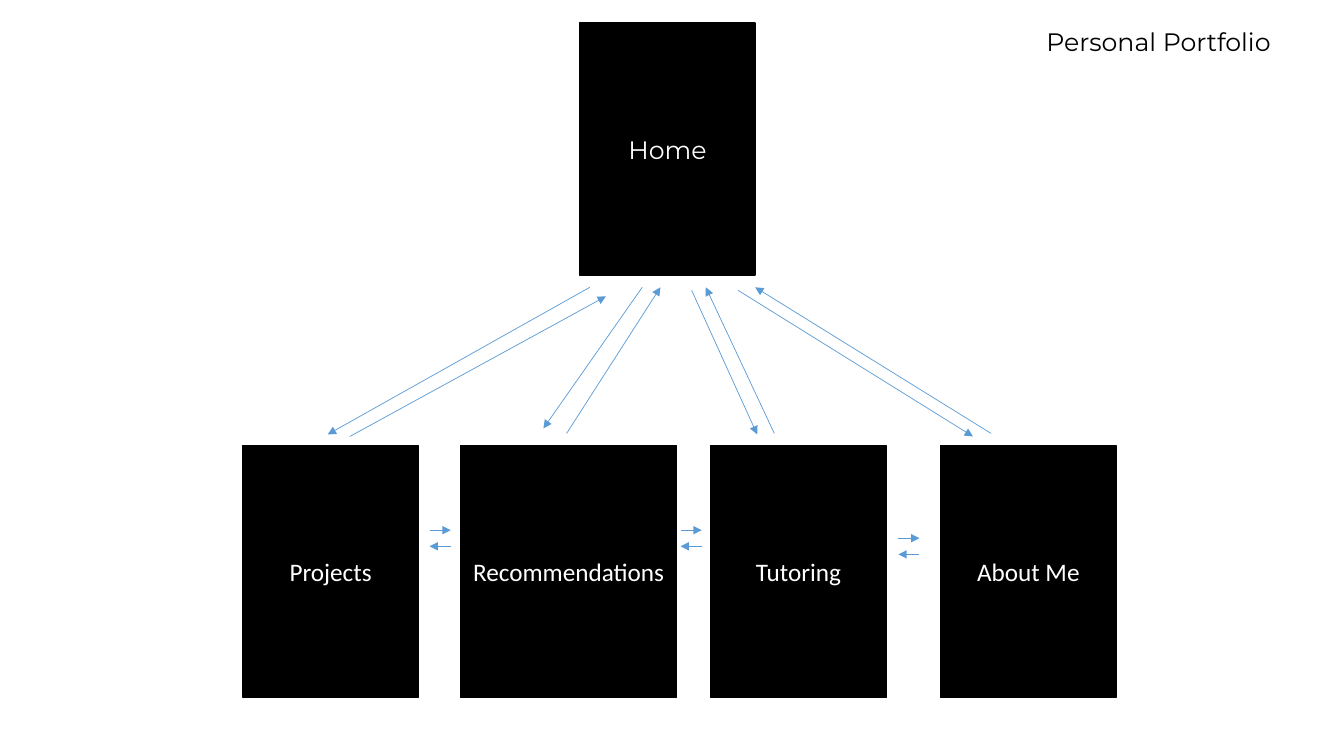
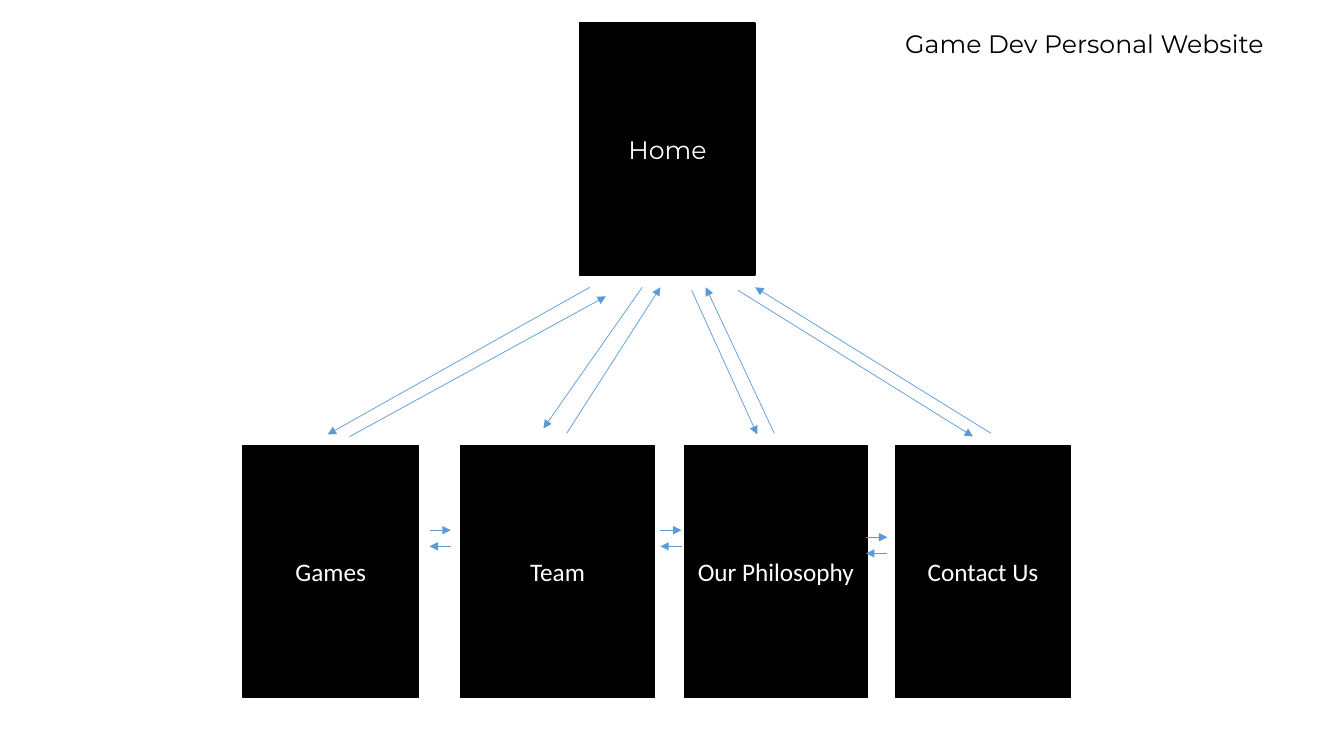
from dataclasses import dataclass

import lxml.etree
import pptx
import pptx.dml.color
import pptx.enum.shapes
import pptx.enum.text
import pptx.oxml.ns
import pptx.util
from pptx.util import Inches

COLORS = {"page": "000000", "label": "FFFFFF", "title": "000000", "arrow": "5B9BD5"}
HEADING_FONT = "Montserrat"
BODY_FONT = "Calibri"
PAGE_WIDTH = 1.74
PAGE_HEIGHT = 2.5
HOME_LEFT, HOME_TOP = 5.75, 0.23
SUBPAGE_TOP = 4.42
ARROW_LENGTH = 0.21
ARROW_GAP = 0.16


@dataclass(frozen=True)
class Page:
    name: str
    left: float
    top: float = SUBPAGE_TOP
    width: float = PAGE_WIDTH
    font: str = BODY_FONT


@dataclass(frozen=True)
class Arrow:
    x1: float
    y1: float
    x2: float
    y2: float


@dataclass(frozen=True)
class Swap:
    left: float
    top: float = 5.26


@dataclass(frozen=True)
class Title:
    text: str
    left: float
    top: float
    width: float


@dataclass(frozen=True)
class SiteMap:
    title: Title
    subpages: tuple[Page, ...]
    swaps: tuple[Swap, ...]


HOME = Page("Home", HOME_LEFT, HOME_TOP, font=HEADING_FONT)

HOME_ARROWS = (
    Arrow(5.85, 2.85, 3.25, 4.31),
    Arrow(3.47, 4.33, 6.01, 2.94),
    Arrow(6.37, 2.85, 5.39, 4.25),
    Arrow(5.62, 4.3, 6.55, 2.85),
    Arrow(6.86, 2.88, 7.51, 4.31),
    Arrow(7.68, 4.3, 7, 2.85),
    Arrow(7.32, 2.88, 9.65, 4.33),
    Arrow(9.83, 4.3, 7.49, 2.85),
)

SITE_MAPS = (
    SiteMap(
        Title("Personal Portfolio", 10.28, 0.21, 2.66),
        (
            Page("Projects", 2.41),
            Page("Recommendations", 4.57, width=2.14),
            Page("Tutoring", 7.05),
            Page("About Me", 9.33),
        ),
        (Swap(4.26), Swap(6.75), Swap(8.91, 5.34)),
    ),
    SiteMap(
        Title("Game Dev Personal Website", 8.88, 0.23, 4.05),
        (
            Page("Games", 2.41),
            Page("Team", 4.57, width=1.92),
            Page("Our Philosophy", 6.79, width=1.81),
            Page("Contact Us", 8.88),
        ),
        (Swap(4.26), Swap(6.55), Swap(8.59, 5.33)),
    ),
)


def rgb(name: str) -> pptx.dml.color.RGBColor:
    return pptx.dml.color.RGBColor.from_string(COLORS[name])


def write(frame, text: str, *, font: str, color: str, size: float = 18,
          align=pptx.enum.text.PP_ALIGN.LEFT,
          anchor=pptx.enum.text.MSO_ANCHOR.TOP) -> None:
    frame.word_wrap = True
    frame.vertical_anchor = anchor
    paragraph = frame.paragraphs[0]
    paragraph.alignment = align
    run = paragraph.add_run()
    run.text = text
    run.font.name = font
    run.font.size = pptx.util.Pt(size)
    run.font.color.rgb = rgb(color)


def draw_page(slide, page: Page) -> None:
    box = slide.shapes.add_shape(
        pptx.enum.shapes.MSO_SHAPE.RECTANGLE,
        Inches(page.left), Inches(page.top), Inches(page.width), Inches(PAGE_HEIGHT))
    box.shadow.inherit = False
    box.fill.solid()
    box.fill.fore_color.rgb = rgb("page")
    box.line.color.rgb = rgb("page")
    box.line.width = pptx.util.Pt(1)
    write(box.text_frame, page.name, font=page.font, color="label",
          align=pptx.enum.text.PP_ALIGN.CENTER,
          anchor=pptx.enum.text.MSO_ANCHOR.MIDDLE)


def draw_arrow(slide, arrow: Arrow) -> None:
    link = slide.shapes.add_connector(
        pptx.enum.shapes.MSO_CONNECTOR.STRAIGHT,
        Inches(arrow.x1), Inches(arrow.y1), Inches(arrow.x2), Inches(arrow.y2))
    link.line.color.rgb = rgb("arrow")
    link.line.width = pptx.util.Pt(0.5)
    qn = pptx.oxml.ns.qn
    lxml.etree.SubElement(link.line._get_or_add_ln(), qn("a:tailEnd"), type="triangle")
    lxml.etree.SubElement(link._element.spPr, qn("a:effectLst"))


def draw_swap(slide, swap: Swap) -> None:
    right = swap.left + ARROW_LENGTH
    bottom = swap.top + ARROW_GAP
    draw_arrow(slide, Arrow(swap.left, swap.top, right, swap.top))
    draw_arrow(slide, Arrow(right, bottom, swap.left, bottom))


def draw_title(slide, title: Title) -> None:
    heading = slide.shapes.add_textbox(
        Inches(title.left), Inches(title.top), Inches(title.width), Inches(0.4))
    write(heading.text_frame, title.text, font=HEADING_FONT, color="title")
    heading.text_frame.auto_size = pptx.enum.text.MSO_AUTO_SIZE.SHAPE_TO_FIT_TEXT


def draw_site_map(deck, site: SiteMap) -> None:
    slide = deck.slides.add_slide(deck.slide_layouts[6])
    for page in (HOME, *site.subpages):
        draw_page(slide, page)
    for arrow in HOME_ARROWS:
        draw_arrow(slide, arrow)
    for swap in site.swaps:
        draw_swap(slide, swap)
    draw_title(slide, site.title)


deck = pptx.Presentation()
deck.slide_width = Inches(13.33)
deck.slide_height = Inches(7.5)
for site in SITE_MAPS:
    draw_site_map(deck, site)
deck.save("out.pptx")
